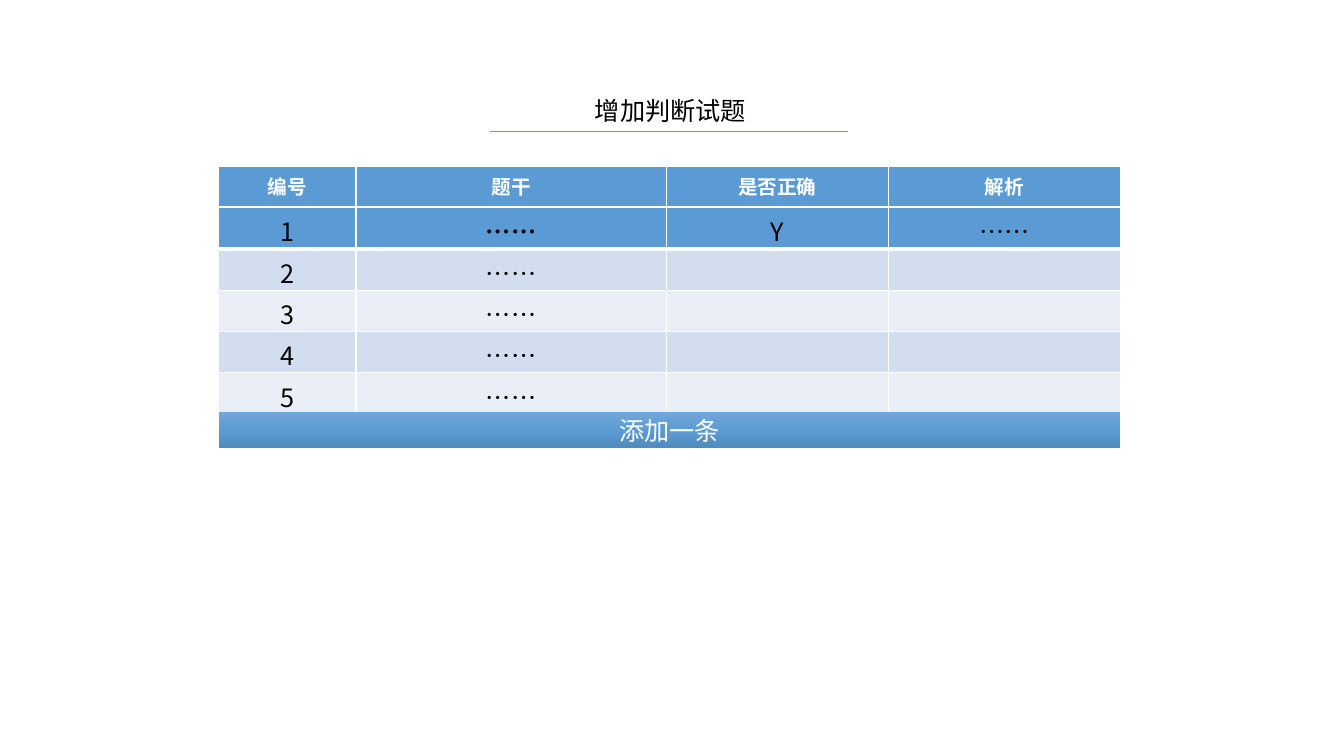
import pptx
import pptx.dml.color
import pptx.enum.shapes
import pptx.enum.text
import pptx.oxml
import pptx.oxml.ns
import pptx.util
from dataclasses import dataclass
from lxml import etree
from pptx.util import Inches, Pt

qn = pptx.oxml.ns.qn
CENTER = pptx.enum.text.PP_ALIGN.CENTER
MIDDLE = pptx.enum.text.MSO_ANCHOR.MIDDLE


@dataclass(frozen=True)
class Theme:
    font: str = "Noto Sans CJK SC"
    body_size: int = 18
    header_size: int = 14
    black: str = "000000"
    white: str = "FFFFFF"
    blue: str = "5B9BD5"
    bands: tuple = ("D2DEEF", "EAEFF7")
    button_stops: tuple = ((0, "73A6D9"), (50, "5B9BD5"), (100, "508ABE"))


THEME = Theme()
LEFT, WIDTH = 2.17, 8.94
COLUMN_WIDTHS = (1.36, 3.08, 2.2, 2.3)
ROW_HEIGHT = 0.41
HEADER = ("编号", "题干", "是否正确", "解析")
QUESTIONS = [("1", "……", "Y", "……")] + [(str(n), "……", "", "") for n in range(2, 6)]


def rgb(color):
    return pptx.dml.color.RGBColor.from_string(color)


def write(frame, text, size, color, bold=False):
    """Put one centred line of text into a text frame."""
    para = frame.paragraphs[0]
    para.text = text
    para.alignment = CENTER
    for span in para.runs:
        span.font.size = Pt(size)
        span.font.name = THEME.font
        span.font.bold = bold
        span.font.color.rgb = rgb(color)
        east_asian = etree.SubElement(span.font._element, qn("a:ea"))
        east_asian.set("typeface", THEME.font)


def set_borders(cell, bottom):
    """White cell borders, 1 pt except for the bottom one."""
    properties = cell._tc.get_or_add_tcPr()
    widths = {"lnL": 1, "lnR": 1, "lnT": 1, "lnB": bottom}
    for index, (side, width) in enumerate(widths.items()):
        line = etree.Element(qn(f"a:{side}"), w=str(Pt(width)))
        fill = etree.SubElement(line, qn("a:solidFill"))
        etree.SubElement(fill, qn("a:srgbClr"), val=THEME.white)
        properties.insert(index, line)


def add_grid(page, top, rows, fills, size, color, bold_cells):
    """Table whose first row is set off by a heavy bottom border."""
    table = page.shapes.add_table(
        len(rows), len(COLUMN_WIDTHS), Inches(LEFT), Inches(top),
        Inches(WIDTH), Inches(ROW_HEIGHT * len(rows))).table
    for column, width in zip(table.columns, COLUMN_WIDTHS):
        column.width = Inches(width)
    for r, (texts, fill) in enumerate(zip(rows, fills)):
        table.rows[r].height = Inches(ROW_HEIGHT)
        for c, text in enumerate(texts):
            cell = table.cell(r, c)
            cell.margin_bottom = 0
            cell.fill.solid()
            cell.fill.fore_color.rgb = rgb(fill)
            set_borders(cell, 3 if r == 0 else 1)
            write(cell.text_frame, text, size, color, (r, c) in bold_cells)


def add_title(page, text):
    box = page.shapes.add_textbox(Inches(5.79), Inches(0.9), Inches(1.72), Inches(0.4))
    box.text_frame.word_wrap = False
    box.text_frame.auto_size = pptx.enum.text.MSO_AUTO_SIZE.SHAPE_TO_FIT_TEXT
    write(box.text_frame, text, THEME.body_size, THEME.black)


def add_rule(page, left, right, y):
    rule = page.shapes.add_connector(
        pptx.enum.shapes.MSO_CONNECTOR.STRAIGHT,
        Inches(left), Inches(y), Inches(right), Inches(y))
    rule.line.color.rgb = rgb(THEME.blue)
    rule.line.width = Pt(0.5)
    etree.SubElement(rule._element.spPr, qn("a:effectLst"))


def add_button(page, top, height, text):
    """Full-width bar with a vertical gradient."""
    button = page.shapes.add_shape(
        pptx.enum.shapes.MSO_SHAPE.RECTANGLE,
        Inches(LEFT), Inches(top), Inches(WIDTH), Inches(height))
    button.shadow.inherit = False
    button.line.fill.background()
    button.fill.background()
    gradient = etree.Element(qn("a:gradFill"), rotWithShape="1")
    stops = etree.SubElement(gradient, qn("a:gsLst"))
    for position, color in THEME.button_stops:
        stop = etree.SubElement(stops, qn("a:gs"), pos=str(position * 1000))
        etree.SubElement(stop, qn("a:srgbClr"), val=color)
    etree.SubElement(gradient, qn("a:lin"), ang="5400000", scaled="0")
    properties = button._element.spPr
    properties.replace(properties.find(qn("a:noFill")), gradient)
    button.text_frame.vertical_anchor = MIDDLE
    write(button.text_frame, text, THEME.body_size, THEME.white)


def main():
    deck = pptx.Presentation()
    deck.slide_width, deck.slide_height = Inches(13.33), Inches(7.5)
    page = deck.slides.add_slide(deck.slide_layouts[6])

    # Title with its rule
    add_rule(page, 4.86, 8.41, 1.3)
    add_title(page, "增加判断试题")

    # Header table and question table
    add_grid(page, 1.65, [HEADER], [THEME.blue], THEME.header_size, THEME.white,
             {(0, c) for c in range(len(HEADER))})
    add_grid(page, 2.06, QUESTIONS, [THEME.blue, *THEME.bands * 2],
             THEME.body_size, THEME.black, {(0, 1)})

    # Button below the tables
    add_button(page, 4.09, 0.36, "添加一条")

    deck.save("out.pptx")


if __name__ == "__main__":
    main()
